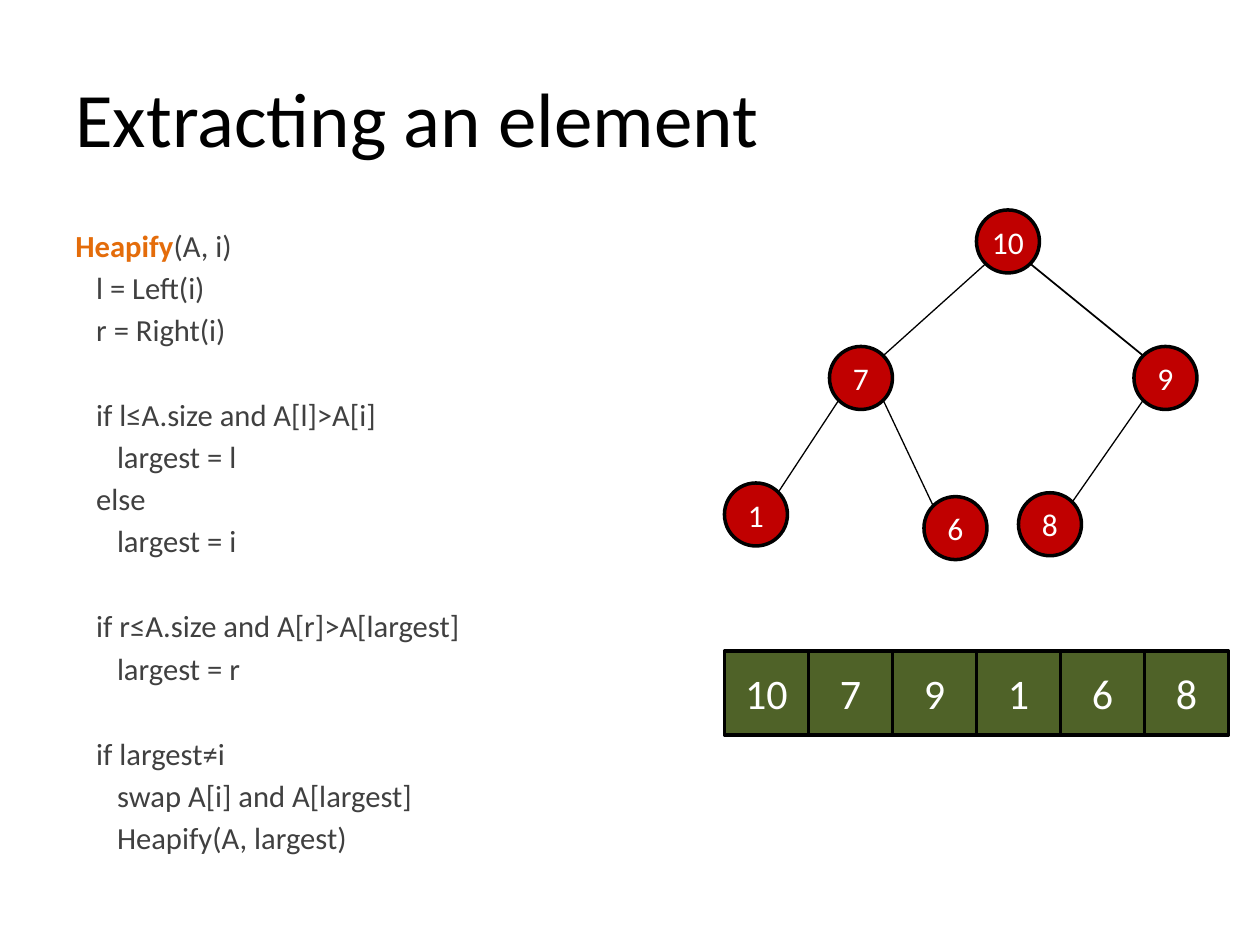
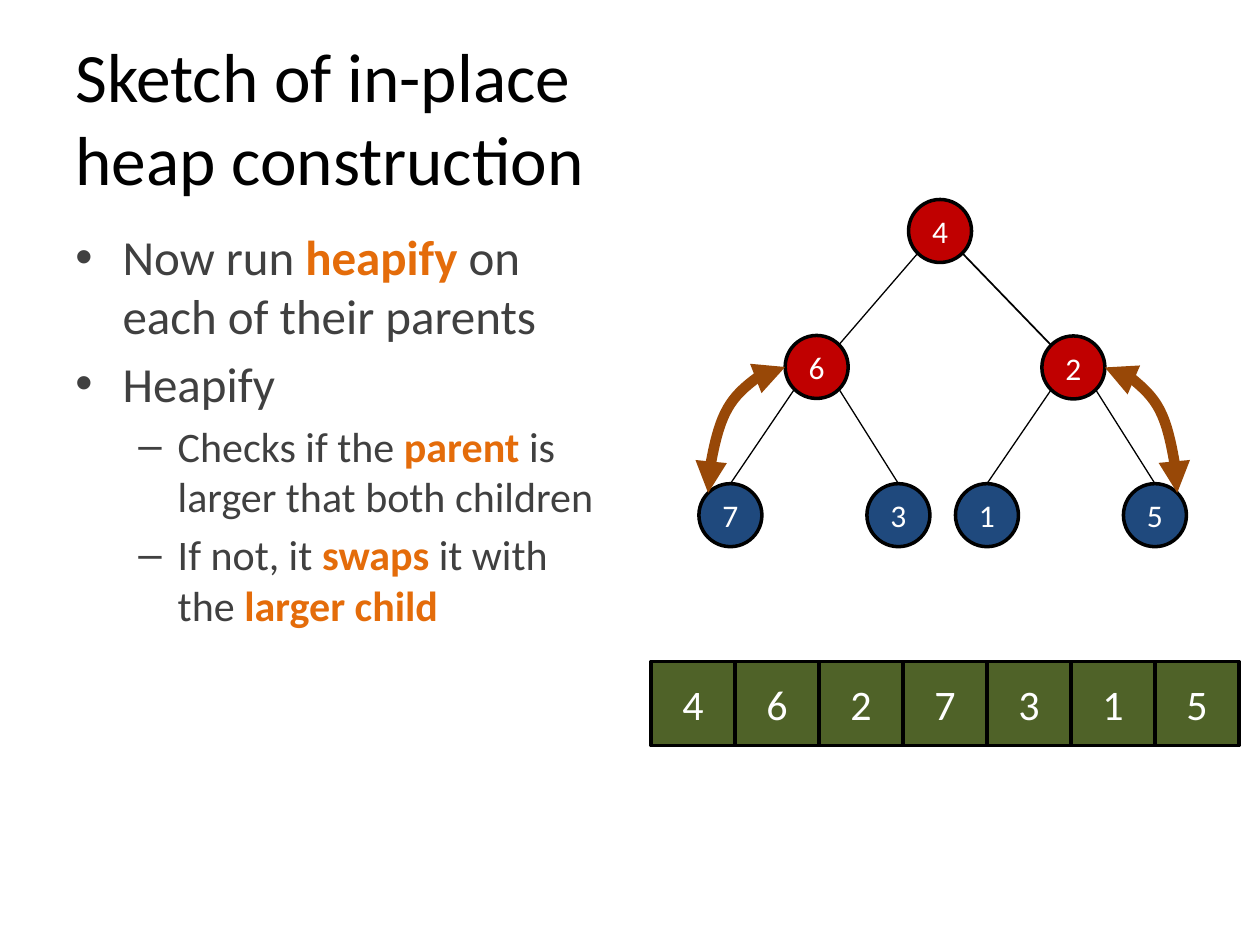
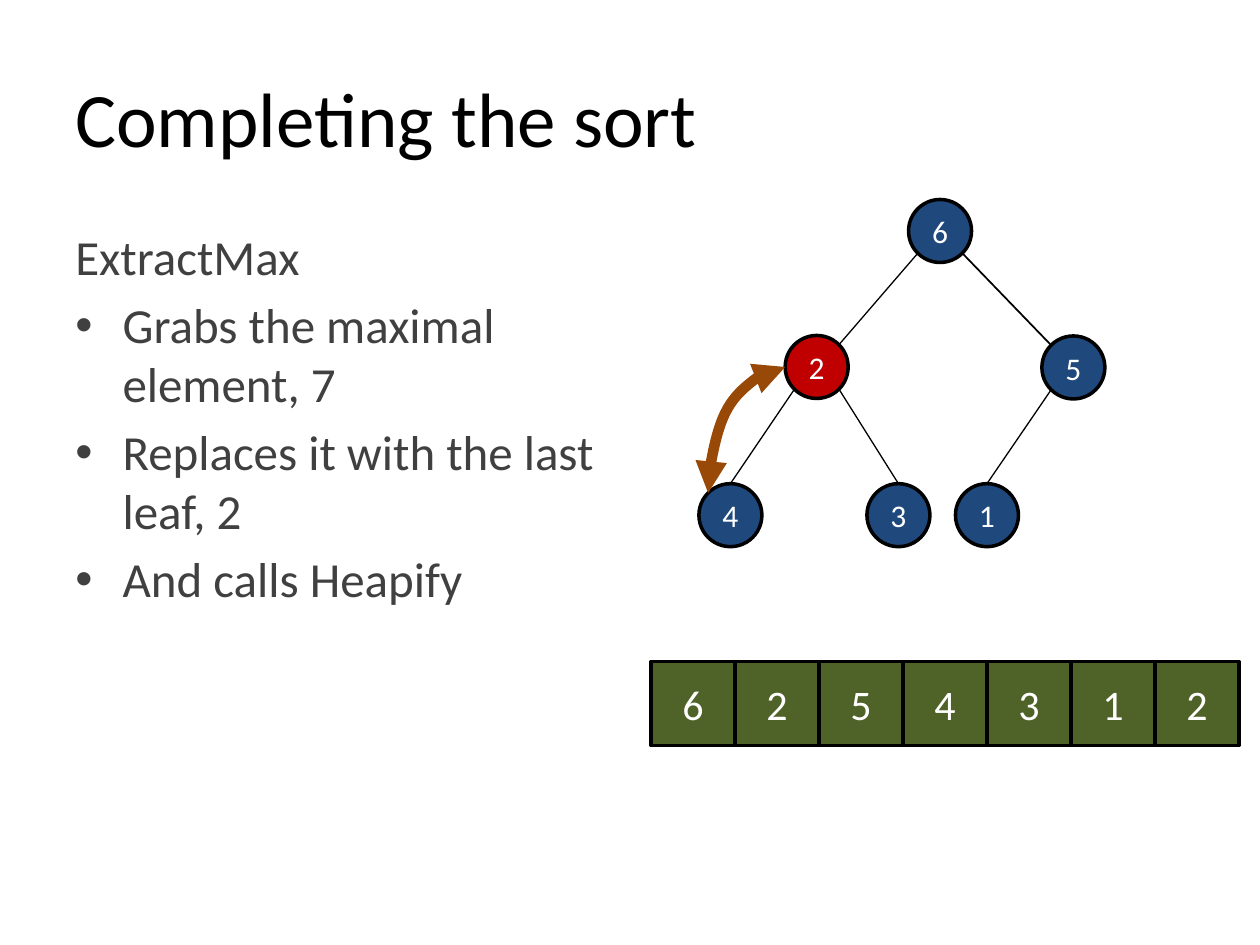
"""Build three slides on heapify, in-place heap construction and heap sort."""
from math import sqrt

from lxml.etree import SubElement
from pptx import Presentation
from pptx.dml.color import RGBColor
from pptx.enum.shapes import MSO_CONNECTOR as Connector, MSO_SHAPE as Shape
from pptx.enum.text import MSO_ANCHOR as Anchor, PP_ALIGN as Align
from pptx.oxml.ns import qn
from pptx.util import Pt

BLACK = RGBColor(0x00, 0x00, 0x00)
WHITE = RGBColor(0xFF, 0xFF, 0xFF)
GREY = RGBColor(0x40, 0x40, 0x40)
ORANGE = RGBColor(0xE4, 0x6C, 0x0A)
RED = RGBColor(0xC0, 0x00, 0x00)
BLUE = RGBColor(0x1F, 0x49, 0x7D)
GREEN = RGBColor(0x4F, 0x62, 0x28)
BROWN = RGBColor(0x98, 0x48, 0x07)

FONT = "Calibri"
RADIUS = 18
DIAGONAL = RADIUS / sqrt(2)
CELL = 48
CODE_SIZE = 17.5
CODE_INDENT = 11.9
CODE_GAP = 3.1
CODE_LINE = 24.5

TOP_BULLET = dict(size=28, before=5.3, bullet="•", left=27, hanging=27)
SUB_BULLET = dict(size=24, before=4.4, bullet="–", left=58.5, hanging=22.5, level=1)

CODE_BLOCKS = [
    [(0, "*Heapify*(A, i)"), (1, "l = Left(i)"), (1, "r = Right(i)")],
    [(1, "if l≤A.size and A[l]>A[i]"), (2, "largest = l"), (1, "else"), (2, "largest = i")],
    [(1, "if r≤A.size and A[r]>A[largest]"), (2, "largest = r")],
    [(1, "if largest≠i"), (2, "swap A[i] and A[largest]"), (2, "Heapify(A, largest)")],
]
code = []
for block_number, block in enumerate(CODE_BLOCKS):
    for line_number, (depth, line) in enumerate(block):
        blank = CODE_LINE if block_number and not line_number else 0
        code.append((line, dict(size=CODE_SIZE, before=CODE_GAP + blank, left=depth * CODE_INDENT)))

WIDE_TREE = [(576, 138), (492, 216), (666, 216), (432, 294), (546, 301.8), (600, 299.6)]
EVEN_TREE = [(537.2, 132), (466.7, 209.7), (613.4, 210),
             (417.4, 294.4), (513.4, 294.4), (564, 294.4), (660, 294.4)]

SLIDES = [
    dict(title="Extracting an element", title_size=44, body=code, body_width=354,
         array=[10, 7, 9, 1, 6, 8], array_at=(414, 372),
         centres=WIDE_TREE, fills=[RED] * 6, leaf_tops=False, swaps=[]),
    dict(title="Sketch of in-place\vheap construction", title_size=39.6, body_width=318,
         body=[("Now run *heapify *on each of their parents", TOP_BULLET),
               ("Heapify", TOP_BULLET),
               ("Checks if the *parent *is larger that both children", SUB_BULLET),
               ("If not, it *swaps *it with the *larger child*", SUB_BULLET)],
         array=[4, 6, 2, 7, 3, 1, 5], array_at=(372, 378),
         centres=EVEN_TREE, fills=[RED] * 3 + [BLUE] * 4, leaf_tops=True,
         swaps=[(2, 6), (1, 3)]),
    dict(title="Completing the sort", title_size=44, body_width=318,
         body=[("ExtractMax", dict(size=28, before=5.3)),
               ("Grabs the maximal element, 7", TOP_BULLET),
               ("Replaces it with the last leaf, 2", TOP_BULLET),
               ("And calls Heapify", TOP_BULLET)],
         array=[6, 2, 5, 4, 3, 1, 2], array_at=(372, 378),
         centres=EVEN_TREE[:6], fills=[BLUE, RED] + [BLUE] * 4, leaf_tops=True,
         swaps=[(1, 3)]),
]


def write(frame, text, size, color=GREY, align=Align.LEFT, before=0,
          bullet=None, left=0, hanging=0, level=0):
    """Add a paragraph; asterisks enclose bold orange words."""
    para = frame.paragraphs[-1]
    if para.runs:
        para = frame.add_paragraph()
    para.alignment = align
    para.level = level
    para.space_before = Pt(before)
    properties = para._p.get_or_add_pPr()
    properties.set("marL", str(Pt(left)))
    properties.set("indent", str(Pt(-hanging)))
    if bullet:
        SubElement(properties, qn("a:buFont"), typeface="Arial")
        SubElement(properties, qn("a:buChar"), char=bullet)
    for line_number, line in enumerate(text.split("\v")):
        if line_number:
            para.add_line_break()
        for part_number, part in enumerate(line.split("*")):
            if not part:
                continue
            accent = part_number % 2 == 1
            span = para.add_run()
            span.text = part
            span.font.name = FONT
            span.font.size = Pt(size)
            span.font.bold = accent
            span.font.color.rgb = ORANGE if accent else color


def connect(page, kind, start, end, color, width):
    """Draw a connector without a shadow and return it."""
    line = page.shapes.add_connector(kind, *(Pt(length) for length in (*start, *end)))
    line.line.color.rgb = color
    line.line.width = Pt(width)
    SubElement(line._element.spPr, qn("a:effectLst"))
    return line


deck = Presentation()
deck.slide_width = Pt(720)
deck.slide_height = Pt(540)

for content in SLIDES:
    page = deck.slides.add_slide(deck.slide_layouts[6])
    array, centres = content["array"], content["centres"]

    title = page.shapes.add_textbox(Pt(36), Pt(21.6), Pt(648), Pt(90)).text_frame
    title.word_wrap = True
    title.vertical_anchor = Anchor.MIDDLE
    write(title, content["title"], size=content["title_size"], color=BLACK)

    body = page.shapes.add_textbox(Pt(36), Pt(126), Pt(content["body_width"]), Pt(356)).text_frame
    body.word_wrap = True
    for text, style in content["body"]:
        write(body, text, **style)

    array_left, array_top = content["array_at"]
    boxes = [(Shape.OVAL, x - RADIUS, y - RADIUS, 2 * RADIUS, fill, 18, value)
             for (x, y), fill, value in zip(centres, content["fills"], array)]
    boxes += [(Shape.RECTANGLE, array_left + index * CELL, array_top, CELL, GREEN, 24, value)
              for index, value in enumerate(array)]
    for kind, left, top, side, fill, size, value in boxes:
        box = page.shapes.add_shape(kind, Pt(left), Pt(top), Pt(side), Pt(side))
        box.shadow.inherit = False
        box.fill.solid()
        box.fill.fore_color.rgb = fill
        box.line.color.rgb = BLACK
        box.line.width = Pt(2)
        frame = box.text_frame
        frame.margin_left = frame.margin_right = 0
        frame.word_wrap = False
        frame.vertical_anchor = Anchor.MIDDLE
        write(frame, str(value), size=size, color=WHITE, align=Align.CENTER)

    for child in range(1, len(centres)):
        parent_x, parent_y = centres[(child - 1) // 2]
        child_x, child_y = centres[child]
        side = -1 if child % 2 else 1
        start = (parent_x + side * DIAGONAL, parent_y + DIAGONAL)
        if content["leaf_tops"] and child > 2:
            end = (child_x, child_y - RADIUS)
        else:
            end = (child_x - side * DIAGONAL, child_y - DIAGONAL)
        connect(page, Connector.STRAIGHT, start, end, BLACK, 1 if child == 2 else 0.75)

    for parent, child in content["swaps"]:
        parent_x, parent_y = centres[parent]
        child_x, child_y = centres[child]
        side = -1 if child % 2 else 1
        arrow = connect(page, Connector.CURVE, (parent_x + side * RADIUS, parent_y),
                        (child_x + side * DIAGONAL, child_y - DIAGONAL), BROWN, 6)
        arrow._element.spPr.find(qn("a:prstGeom")).set("prst", "curvedConnector2")
        outline = arrow.line._get_or_add_ln()
        for tip in ("a:headEnd", "a:tailEnd"):
            SubElement(outline, qn(tip), type="triangle")

deck.save("out.pptx")
